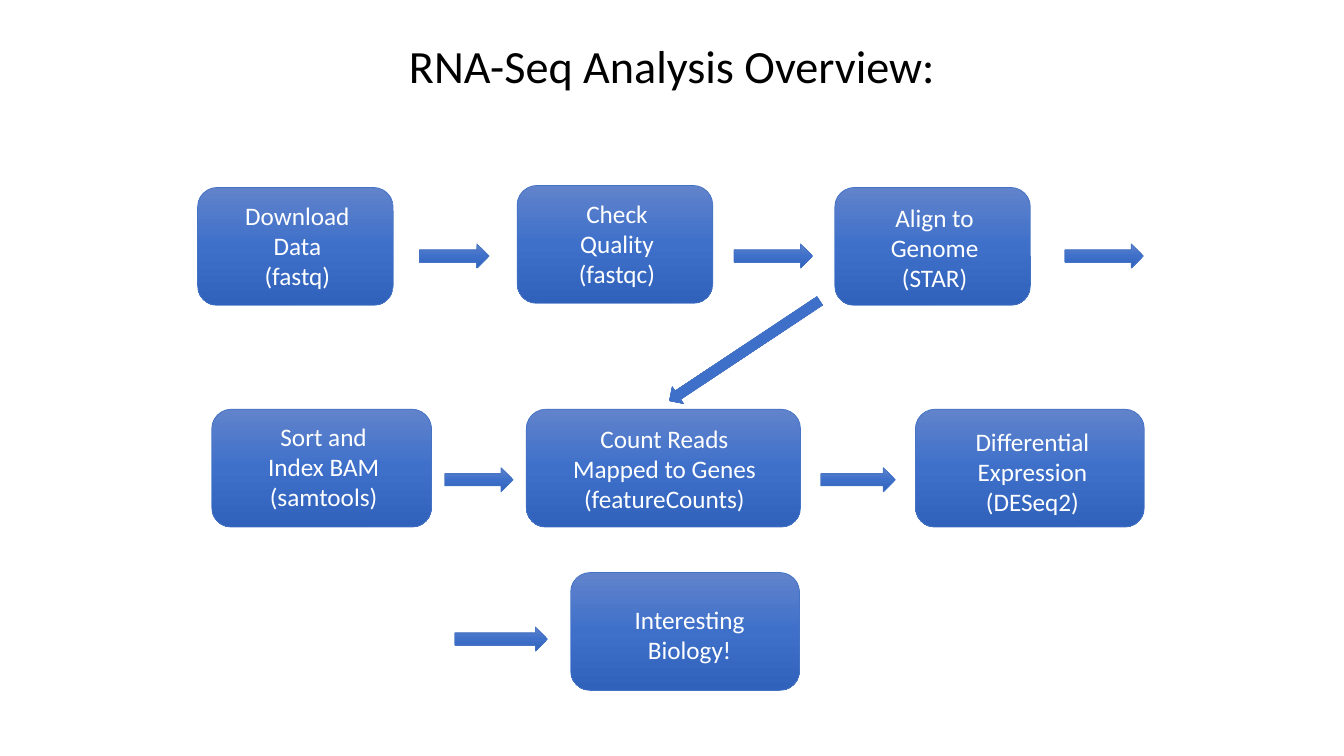
import copy
import pptx
import pptx.util
import pptx.dml.color
import pptx.enum.shapes
import pptx.enum.text
from pptx.util import Inches, Pt

COLORS = {
    "title": "000000",
    "label": "FFFFFF",
    "outline": "4472C4",
    "top": "6183CB",
    "middle": "3E70CA",
    "bottom": "3062BB",
}
FONT = "Calibri"
STEP_HEIGHT = 1.17
ARROW_HEIGHT = 0.24


def rgb(name):
    return pptx.dml.color.RGBColor.from_string(COLORS[name])


def add_blue_shape(preset, left, top, width, height):
    shape = slide.shapes.add_shape(
        preset, Inches(left), Inches(top), Inches(width), Inches(height)
    )
    shape.shadow.inherit = False
    shape.line.color.rgb = rgb("outline")
    shape.line.width = Pt(0.5)
    shape.fill.gradient()
    shape.fill.gradient_angle = 270
    stop_list = shape._element.spPr.find(".//" + pptx.oxml.ns.qn("a:gsLst"))
    stop_list.append(copy.deepcopy(stop_list[-1]))
    shades = [(0, "top"), (0.5, "middle"), (1, "bottom")]
    for stop, (position, shade) in zip(shape.fill.gradient_stops, shades):
        stop.position = position
        stop.color.rgb = rgb(shade)
    return shape


deck = pptx.Presentation()
deck.slide_width = Inches(13.33)
deck.slide_height = Inches(7.5)
slide = deck.slides.add_slide(deck.slide_layouts[5])

title = slide.shapes.title
title.left, title.top = Inches(1.84), Inches(0.15)
title.width, title.height = Inches(9.65), Inches(0.83)
title.text_frame.text = "RNA-Seq Analysis Overview:"
title.text_frame.auto_size = pptx.enum.text.MSO_AUTO_SIZE.NONE
title.text_frame.vertical_anchor = pptx.enum.text.MSO_ANCHOR.BOTTOM
heading = title.text_frame.paragraphs[0]
heading.alignment = pptx.enum.text.PP_ALIGN.CENTER
heading.line_spacing = 0.9
heading.font.name = FONT
heading.font.size = Pt(33)
heading.font.color.rgb = rgb("title")

# left, top, width, label left, label top, label width, label
steps = [
    (1.96, 1.86, 1.94, 2.25, 1.94, 1.4, "Download Data\n(fastq)"),
    (5.13, 1.84, 1.94, 5.42, 1.92, 1.4, "Check Quality (fastqc)"),
    (8.28, 1.86, 1.94, 8.57, 1.96, 1.4, "Align to Genome (STAR)"),
    (2.1, 4.06, 2.18, 2.42, 4.13, 1.58, "Sort and Index BAM (samtools)"),
    (5.22, 4.06, 2.72, 5.43, 4.15, 2.32, "Count Reads Mapped to Genes (featureCounts)"),
    (9.08, 4.06, 2.27, 9.42, 4.18, 1.64, "Differential Expression (DESeq2)"),
    (5.66, 5.68, 2.27, 6.02, 5.95, 1.64, "Interesting Biology!"),
]
for left, top, width, label_left, label_top, label_width, label in steps:
    step = add_blue_shape(
        pptx.enum.shapes.MSO_SHAPE.ROUNDED_RECTANGLE, left, top, width, STEP_HEIGHT
    )
    frame = step.text_frame
    frame.text = label
    frame.word_wrap = True
    frame.vertical_anchor = pptx.enum.text.MSO_ANCHOR.TOP
    corner_inset = 0.06
    frame.margin_left = Inches(label_left - left + 0.1 - corner_inset)
    frame.margin_right = Inches(left + width - label_left - label_width + 0.1 - corner_inset)
    frame.margin_top = Inches(label_top - top + 0.05 - corner_inset)
    frame.margin_bottom = 0
    for paragraph in frame.paragraphs:
        paragraph.alignment = pptx.enum.text.PP_ALIGN.CENTER
        paragraph.font.name = FONT
        paragraph.font.size = Pt(18)
        paragraph.font.color.rgb = rgb("label")

arrows = [
    (4.16, 2.42, 0.69, ARROW_HEIGHT, 0),
    (7.28, 2.42, 0.78, ARROW_HEIGHT, 0),
    (10.56, 2.42, 0.78, ARROW_HEIGHT, 0),
    (4.41, 4.64, 0.68, ARROW_HEIGHT, 0),
    (8.14, 4.64, 0.74, ARROW_HEIGHT, 0),
    (4.51, 6.22, 0.92, ARROW_HEIGHT, 0),
    (6.49, 3.38, 1.79, 0.2, 146.4),
]
for left, top, width, height, rotation in arrows:
    arrow = add_blue_shape(
        pptx.enum.shapes.MSO_SHAPE.RIGHT_ARROW, left, top, width, height
    )
    arrow.rotation = rotation

deck.save("out.pptx")
